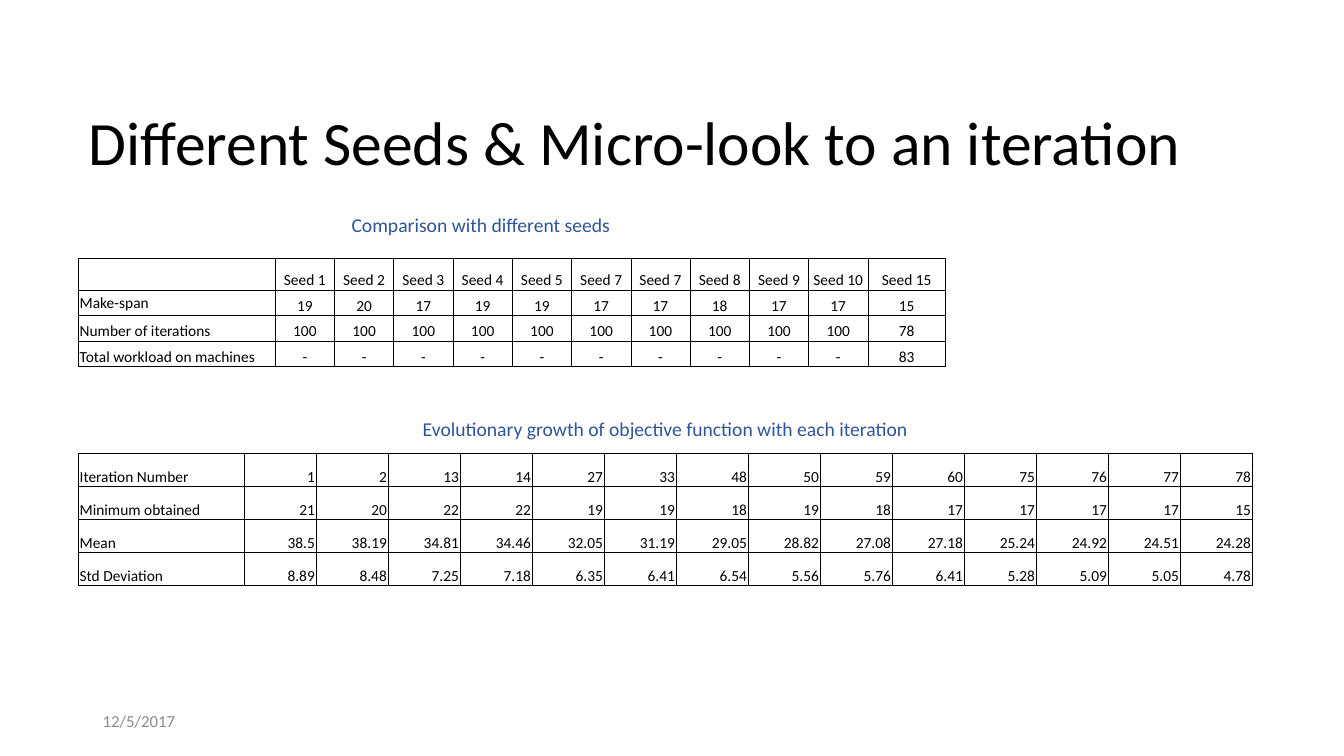
"""Build a slide with two tables on seeds and iterations."""
from dataclasses import dataclass

from lxml import etree
from pptx import Presentation
from pptx.dml.color import RGBColor
from pptx.enum.text import MSO_ANCHOR, MSO_AUTO_SIZE, PP_ALIGN
from pptx.oxml.ns import qn
from pptx.slide import Slide
from pptx.table import _Cell
from pptx.text.text import TextFrame
from pptx.util import Inches, Pt

LEFT, CENTER, RIGHT = PP_ALIGN.LEFT, PP_ALIGN.CENTER, PP_ALIGN.RIGHT
TOP, MIDDLE, BOTTOM = MSO_ANCHOR.TOP, MSO_ANCHOR.MIDDLE, MSO_ANCHOR.BOTTOM
FIXED = MSO_AUTO_SIZE.NONE
WIDE, HIGH = 13.33, 7.5
FONT, BLACK, WHITE, BLUE, GRAY = "Calibri", "000000", "FFFFFF", "2F5597", "8C8C8C"
EDGE = 5.85


@dataclass
class Box:
    left: float
    top: float
    width: float
    height: float


@dataclass
class Label:
    text: str
    box: Box
    size: int
    color: str
    align: int = CENTER
    anchor: int = TOP


@dataclass
class Grid:
    top: float
    cols: list[float]
    rows: list[float]
    cells: list[list[str]]
    align: int
    centred: str = ""
    last: str = ""


LABELS = [
    Label("12/5/2017", Box(6.9, 92.67, 22.5, 5.33), 12, GRAY, LEFT, MIDDLE),
    Label("Comparison with different seeds", Box(5.4, 27.47, 60.77, 4.5), 14, BLUE),
    Label("Evolutionary growth of objective function with each iteration",
          Box(EDGE, 54.53, 87.32, 4.5), 14, BLUE),
]
TITLE = Label("Different Seeds & Micro-look to an iteration",
              Box(EDGE, 13.87, 86.27, 10.8), 44, BLACK, LEFT, MIDDLE)
SEEDS = Grid(
    34.13, [14.63] + [4.41] * 10 + [5.78], [4.18] + [3.38] * 3,
    [
        [""] + [f"Seed {num}" for num in (1, 2, 3, 4, 5, 7, 7, 8, 9, 10, 15)],
        ["Make-span", *"19 20 17 19 19 17 17 18 17 17 15".split()],
        ["Number of iterations"] + ["100"] * 10 + ["78"],
        ["Total workload on machines"] + ["-"] * 10 + ["83"],
    ],
    CENTER, centred="Make-span", last=WHITE)
GROWTH = Grid(
    60, [12.3] + [5.36] * 14, [4.37] * 4,
    [
        ["Iteration Number", *"1 2 13 14 27 33 48 50 59 60 75 76 77 78".split()],
        ["Minimum obtained", *"21 20 22 22 19 19 18 19 18 17 17 17 17 15".split()],
        ["Mean", *("38.5 38.19 34.81 34.46 32.05 31.19 29.05 "
                   "28.82 27.08 27.18 25.24 24.92 24.51 24.28").split()],
        ["Std Deviation", *("8.89 8.48 7.25 7.18 6.35 6.41 6.54 "
                            "5.56 5.76 6.41 5.28 5.09 5.05 4.78").split()],
    ],
    RIGHT)


def across(share: float) -> int:
    return Inches(WIDE * share / 100)


def down(share: float) -> int:
    return Inches(HIGH * share / 100)


def paint(code: str) -> RGBColor:
    return RGBColor.from_string(code)


def place(box: Box) -> tuple[int, int, int, int]:
    return across(box.left), down(box.top), across(box.width), down(box.height)


def write(frame: TextFrame, text: str, size: int, color: str, align: int) -> None:
    para = frame.paragraphs[0]
    para.alignment = align
    run = para.add_run()
    run.text = text
    run.font.name = FONT
    run.font.size = Pt(size)
    run.font.color.rgb = paint(color)


def fill_label(frame: TextFrame, label: Label) -> None:
    frame.word_wrap = True
    frame.auto_size = FIXED
    frame.vertical_anchor = label.anchor
    write(frame, label.text, label.size, label.color, label.align)


def add_title(slide: Slide, label: Label) -> None:
    title = slide.shapes.title
    title.left, title.top, title.width, title.height = place(label.box)
    fill_label(title.text_frame, label)
    title.text_frame.paragraphs[0].line_spacing = 0.9


def add_label(slide: Slide, label: Label) -> None:
    fill_label(slide.shapes.add_textbox(*place(label.box)).text_frame, label)


def frame_cell(cell: _Cell) -> None:
    props = cell._tc.get_or_add_tcPr()
    for side in ("a:lnL", "a:lnR", "a:lnT", "a:lnB"):
        line = etree.SubElement(props, qn(side), w=str(Pt(0.5)))
        solid = etree.SubElement(line, qn("a:solidFill"))
        etree.SubElement(solid, qn("a:srgbClr"), val=BLACK)


def add_grid(slide: Slide, grid: Grid) -> None:
    box = Box(EDGE, grid.top, sum(grid.cols), sum(grid.rows))
    table = slide.shapes.add_table(len(grid.rows), len(grid.cols), *place(box)).table
    table.first_row = table.horz_banding = False
    for col, width in zip(table.columns, grid.cols):
        col.width = across(width)
    for row, height in zip(table.rows, grid.rows):
        row.height = down(height)
    for row, texts in enumerate(grid.cells):
        for col, text in enumerate(texts):
            cell = table.cell(row, col)
            cell.margin_left = cell.margin_right = cell.margin_top = Inches(0.01)
            cell.margin_bottom = 0
            cell.vertical_anchor = MIDDLE if text == grid.centred else BOTTOM
            frame_cell(cell)
            if grid.last and col == len(texts) - 1:
                cell.fill.solid()
                cell.fill.fore_color.rgb = paint(grid.last)
            else:
                cell.fill.background()
            if text:
                write(cell.text_frame, text, 11, BLACK, grid.align if col else LEFT)


def main() -> None:
    deck = Presentation()
    deck.slide_width, deck.slide_height = Inches(WIDE), Inches(HIGH)
    slide = deck.slides.add_slide(deck.slide_layouts.get_by_name("Title Only"))
    add_title(slide, TITLE)
    for label in LABELS:
        add_label(slide, label)
    for grid in (GROWTH, SEEDS):
        add_grid(slide, grid)
    deck.save("out.pptx")


if __name__ == "__main__":
    main()
